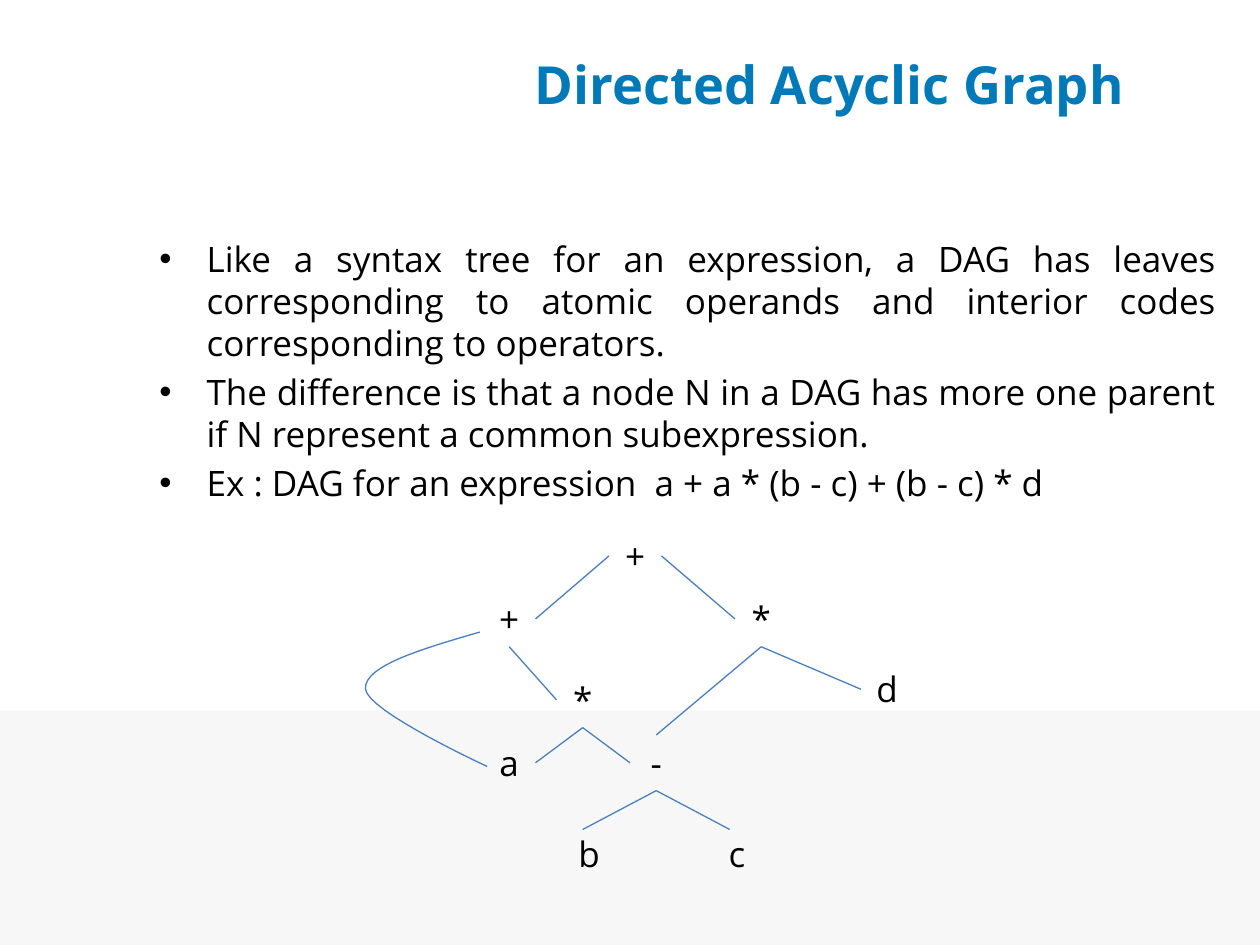
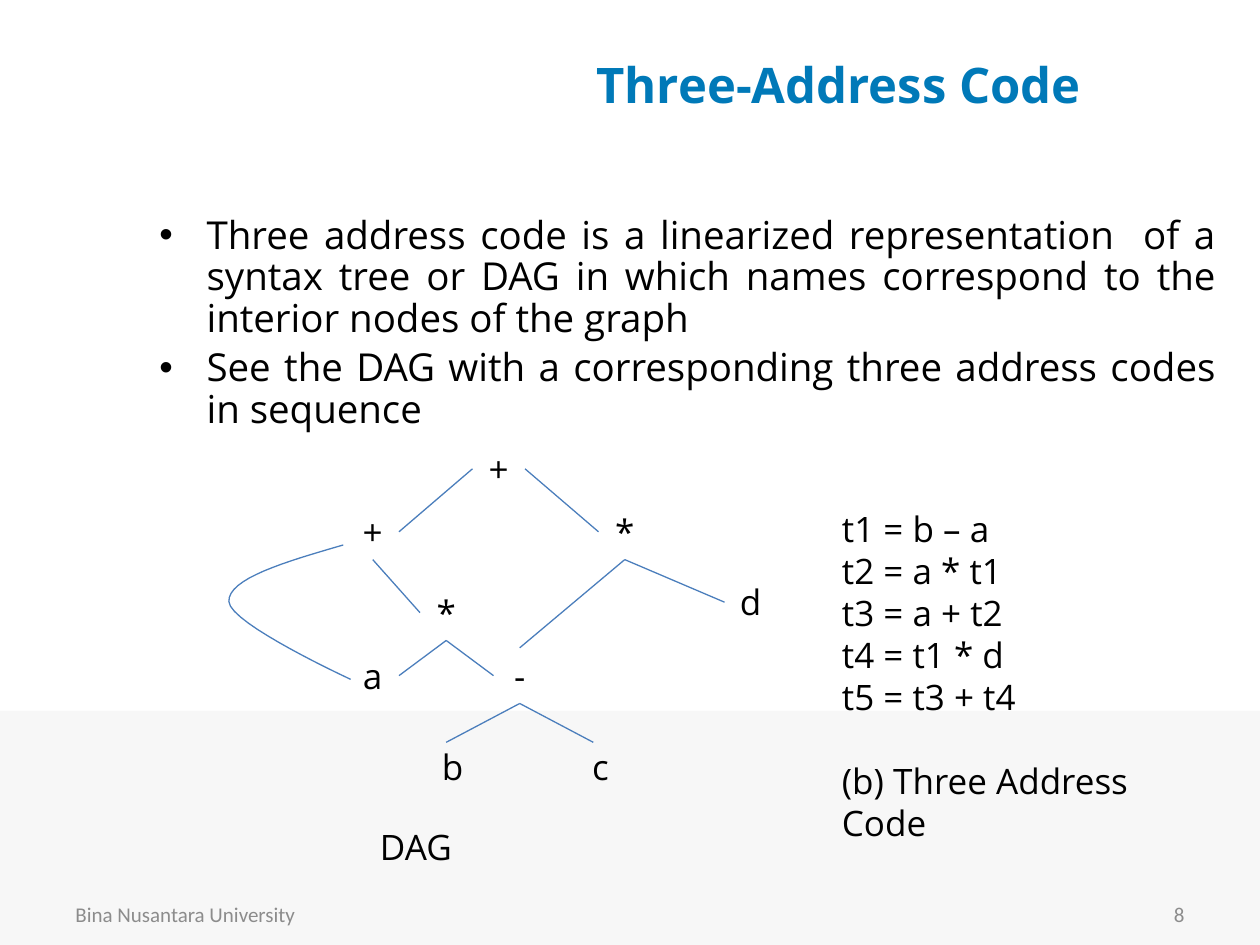
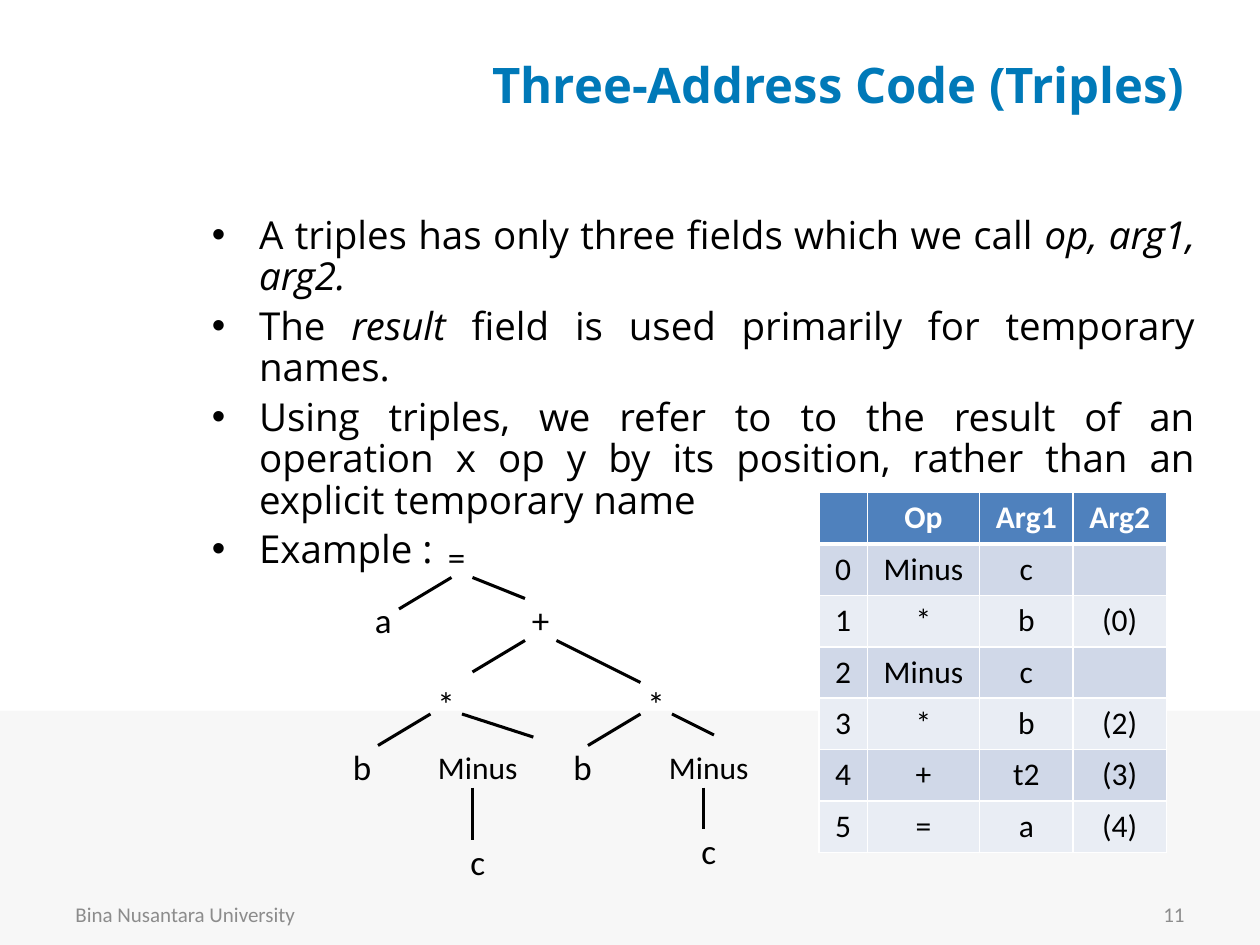
import dataclasses

import lxml.etree
import pptx
import pptx.dml.color
import pptx.enum.shapes
import pptx.enum.text
import pptx.oxml.ns
import pptx.util

ALIGN = pptx.enum.text.PP_ALIGN
ANCHOR = pptx.enum.text.MSO_ANCHOR
SHAPE = pptx.enum.shapes.MSO_SHAPE
TOP, LEFT, BOTTOM, RIGHT = range(4)
EMU_PER_PX = 7620  # 120 px to the inch


@dataclasses.dataclass(frozen=True)
class Theme:
    font: str = "Open Sans"
    plain_font: str = "Calibri"
    title: str = "0079B8"
    text: str = "000000"
    footer: str = "8C8C8C"
    band: str = "F7F7F7"
    edge: str = "4B7EBC"
    header: str = "4F81BD"
    stripes: tuple = ("D0D8E8", "E9EDF4")
    white: str = "FFFFFF"
    large_title_size: int = 30
    title_size: int = 28
    body_size: int = 22
    node_size: int = 20
    table_size: int = 18
    footer_size: int = 12
    edge_width: float = 0.75
    branch_width: float = 1.75


THEME = Theme()

DAG_NODE_SIZE = (50, 53)
DAG_NODES = {
    "root": ("+", 233, 0),
    "sum": ("+", 113, 60),
    "right product": ("*", 353, 60),
    "d": ("d", 473, 127),
    "inner product": ("*", 183, 137),
    "a": ("a", 113, 197),
    "difference": ("-", 253, 197),
    "b": ("b", 189, 284),
    "c": ("c", 330, 284),
}
DAG_EDGES = [
    ("root", LEFT, "sum", RIGHT),
    ("root", RIGHT, "right product", LEFT),
    ("sum", BOTTOM, "inner product", LEFT),
    ("right product", BOTTOM, "difference", TOP),
    ("right product", BOTTOM, "d", LEFT),
    ("inner product", BOTTOM, "a", RIGHT),
    ("inner product", BOTTOM, "difference", LEFT),
]
DAG_LEAF_ENDS = [(208, 287), (348, 287)]
DAG_ARC = [
    ((110, 99), (55, 115), (0, 131), (1, 153)),
    ((1, 153), (2, 174), (117, 227), (117, 227)),
]

TREE_NODES = [
    ("=", 90, 0), ("a", 20, 60), ("+", 170, 60), ("*", 80, 140), ("*", 280, 140),
    ("b", 0, 200), ("Minus", 70, 200), ("b", 210, 200), ("Minus", 290, 200),
    ("c", 110, 290), ("c", 330, 280),
]
TREE_BRANCHES = [
    (120, 60, 70, 90), (140, 60, 190, 80), (190, 120, 140, 150), (300, 160, 220, 120),
    (100, 190, 50, 220), (198, 212, 130, 190), (300, 190, 250, 220), (330, 190, 370, 210),
    (140, 260, 140, 310), (360, 260, 360, 300),
]

TRIPLES = [
    ("", "Op", "Arg1", "Arg2"),
    ("0", "Minus", "c", ""),
    ("1", "*", "b", "(0)"),
    ("2", "Minus", "c", ""),
    ("3", "*", "b", "(2)"),
    ("4", "+", "t2", "(3)"),
    ("5", "=", "a", "(4)"),
]


def px(*lengths):
    return [pptx.util.Emu(length * EMU_PER_PX) for length in lengths]


def rgb(value):
    return pptx.dml.color.RGBColor.from_string(value)


def set_attributes(target, values):
    for name, value in values.items():
        setattr(target, name, value)


def sub_element(parent, tag, **attributes):
    return lxml.etree.SubElement(parent, pptx.oxml.ns.qn(tag), attributes)


def add_run(paragraph, text, size, font=THEME.font, color=THEME.text, **styles):
    run = paragraph.add_run()
    run.text = text
    set_attributes(run.font, {"name": font, "size": pptx.util.Pt(size), **styles})
    run.font.color.rgb = rgb(color)


def add_text(slide, box, lines, align=ALIGN.LEFT, anchor=ANCHOR.TOP, **style):
    """Add a text box with one paragraph for each line."""
    shape = slide.shapes.add_textbox(*px(*box))
    frame = shape.text_frame
    set_attributes(frame, {"word_wrap": True, "vertical_anchor": anchor})
    for index, line in enumerate(lines):
        paragraph = frame.paragraphs[0] if index == 0 else frame.add_paragraph()
        paragraph.alignment = align
        add_run(paragraph, line, **style)
    return shape


def add_band(slide):
    """Place the grey lower band behind every slide of this layout."""
    band = slide.shapes.add_shape(SHAPE.RECTANGLE, *px(0, 677, 1200, 223))
    band.shadow.inherit = False
    band.fill.solid()
    band.fill.fore_color.rgb = rgb(THEME.band)
    band.line.fill.background()
    band.element.xpath("p:nvSpPr/p:cNvPr")[0].set("id", "20")
    slide.slide_layout.shapes.element.insert(2, band.element)


def set_title(slide, text, box=(420, 30, 757, 100), size=THEME.title_size):
    title = slide.shapes.title
    left, top, width, height = px(*box)
    set_attributes(title, {"left": left, "top": top, "width": width, "height": height})
    set_attributes(title.text_frame, {"word_wrap": True, "vertical_anchor": ANCHOR.MIDDLE,
                                      "auto_size": pptx.enum.text.MSO_AUTO_SIZE.NONE})
    paragraph = title.text_frame.paragraphs[0]
    paragraph.alignment = ALIGN.CENTER
    add_run(paragraph, text, size, color=THEME.title, bold=True)


def add_footer(slide, number):
    parts = [("Bina Nusantara University", 60, ALIGN.LEFT), (str(number), 860, ALIGN.RIGHT)]
    for text, left, align in parts:
        add_text(slide, (left, 847, 280, 48), [text], align, ANCHOR.MIDDLE,
                 size=THEME.footer_size, font=THEME.plain_font, color=THEME.footer)


def add_bullets(slide, box, items, size=THEME.body_size, line_spacing=0.9):
    """Add justified bullets; text between underscores is italic."""
    frame = slide.shapes.add_textbox(*px(*box)).text_frame
    frame.word_wrap = True
    for index, item in enumerate(items):
        paragraph = frame.paragraphs[0] if index == 0 else frame.add_paragraph()
        properties = paragraph._p.get_or_add_pPr()
        indent = px(45)[0]
        properties.set("marL", str(indent))
        properties.set("indent", str(-indent))
        sub_element(properties, "a:buFont", typeface="Arial")
        sub_element(properties, "a:buChar", char="•")
        set_attributes(paragraph, {"alignment": ALIGN.JUSTIFY, "line_spacing": line_spacing})
        if index:
            paragraph.space_before = pptx.util.Pt(size * 0.2)
        for part, text in enumerate(item.split("_")):
            if text:
                add_run(paragraph, text, size, italic=part % 2 == 1)


def add_line(slide, start, end, color, width):
    line = slide.shapes.add_connector(pptx.enum.shapes.MSO_CONNECTOR.STRAIGHT,
                                      *px(*start, *end))
    line.line.color.rgb = rgb(color)
    line.line.width = pptx.util.Pt(width)
    sub_element(line.element.spPr, "a:effectLst")
    return line


def curve_points(curves, steps=16):
    """Return points along a chain of cubic curves."""
    points = [curves[0][0]]
    for curve in curves:
        for step in range(1, steps + 1):
            t = step / steps
            weights = ((1 - t) ** 3, 3 * t * (1 - t) ** 2, 3 * t * t * (1 - t), t ** 3)
            points.append(tuple(sum(weight * point[axis] for weight, point in zip(weights, curve))
                                for axis in (0, 1)))
    return points


def add_dag(slide, left, top):
    nodes = {}
    for name, (label, x, y) in DAG_NODES.items():
        nodes[name] = add_text(slide, (left + x, top + y, *DAG_NODE_SIZE), [label],
                               ALIGN.CENTER, size=THEME.node_size)
    edge_style = (THEME.edge, THEME.edge_width)
    for parent, parent_side, child, child_side in DAG_EDGES:
        edge = add_line(slide, (left, top), (left, top), *edge_style)
        edge.begin_connect(nodes[parent], parent_side)
        edge.end_connect(nodes[child], child_side)
    for x, y in DAG_LEAF_ENDS:
        end = (left + x, top + y)
        edge = add_line(slide, end, end, *edge_style)
        edge.begin_connect(nodes["difference"], BOTTOM)

    points = [(round((left + x) * EMU_PER_PX), round((top + y) * EMU_PER_PX))
              for x, y in curve_points(DAG_ARC)]
    builder = slide.shapes.build_freeform(*points[0])
    builder.add_line_segments(points[1:], close=False)
    arc = builder.convert_to_shape()
    arc.shadow.inherit = False
    arc.fill.background()
    arc.line.color.rgb = rgb(THEME.edge)
    arc.line.width = pptx.util.Pt(THEME.edge_width)


def add_syntax_tree(slide, left, top):
    for label, x, y in TREE_NODES:
        is_word = len(label) > 1
        width = 150 if is_word else 70
        node = slide.shapes.add_shape(SHAPE.OVAL, *px(left + x, top + y, width, 80))
        node.shadow.inherit = False
        node.fill.background()
        node.line.fill.background()
        set_attributes(node.text_frame, {"word_wrap": False, "vertical_anchor": ANCHOR.MIDDLE})
        paragraph = node.text_frame.paragraphs[0]
        paragraph.alignment = ALIGN.CENTER
        add_run(paragraph, label, THEME.table_size if is_word else THEME.node_size,
                THEME.plain_font)
    for x1, y1, x2, y2 in TREE_BRANCHES:
        add_line(slide, (left + x1, top + y1), (left + x2, top + y2),
                 THEME.text, THEME.branch_width)


def set_borders(cell, widths):
    properties = cell._tc.get_or_add_tcPr()
    for side, width in widths.items():
        line = sub_element(properties, "a:ln" + side, w=str(pptx.util.Pt(width)))
        sub_element(sub_element(line, "a:solidFill"), "a:srgbClr", val=THEME.white)


def add_triples_table(slide, left, top):
    widths, row_height = (46, 107, 89, 89), 49
    table = slide.shapes.add_table(
        len(TRIPLES), len(widths),
        *px(left, top, sum(widths), row_height * len(TRIPLES))).table
    table.horz_banding = False
    for column, width in zip(table.columns, px(*widths)):
        column.width = width
    for row, values in enumerate(TRIPLES):
        is_header = row == 0
        fill = THEME.header if is_header else THEME.stripes[(row - 1) % 2]
        for column, value in enumerate(values):
            cell = table.cell(row, column)
            set_borders(cell, {"L": 1, "R": 1, "T": 3 if row == 1 else 1,
                               "B": 3 if is_header else 1})
            cell.fill.solid()
            cell.fill.fore_color.rgb = rgb(fill)
            if value:
                paragraph = cell.text_frame.paragraphs[0]
                paragraph.alignment = ALIGN.CENTER
                add_run(paragraph, value, THEME.table_size, THEME.plain_font,
                        THEME.white if is_header else THEME.text, bold=is_header)


def build_dag_slide(slide):
    set_title(slide, "Directed Acyclic Graph", (400, 20, 780, 120), THEME.large_title_size)
    add_bullets(slide, (140, 220, 1030, 640), [
        "Like a syntax tree for an expression, a DAG has leaves corresponding to atomic "
        "operands and interior codes corresponding to operators.",
        "The difference is that a node N in a DAG has more one parent if N represent "
        "a common subexpression.",
        "Ex : DAG for an expression  a + a * (b - c) + (b - c) * d",
    ], size=THEME.node_size, line_spacing=1.0)
    add_dag(slide, 347, 503)


def build_code_slide(slide):
    set_title(slide, "Three-Address Code")
    add_bullets(slide, (140, 200, 1030, 660), [
        "Three address code is a linearized representation  of a syntax tree or DAG in "
        "which names correspond to the interior nodes of the graph",
        "See the DAG with a corresponding three address codes in sequence",
    ])
    add_footer(slide, 8)
    add_dag(slide, 217, 420)
    code = add_text(slide, (790, 477, 380, 295), [
        "t1 = b – a", "t2 = a * t1", "t3 = a + t2", "t4 = t1 * d", "t5 = t3 + t4",
        "(b) Three Address Code",
    ], size=THEME.node_size)
    code.text_frame.paragraphs[-1].space_before = pptx.util.Pt(24)
    add_text(slide, (350, 780, 160, 53), ["DAG"], size=THEME.node_size)


def build_triples_slide(slide):
    set_title(slide, "Three-Address Code (Triples)")
    add_bullets(slide, (190, 200, 960, 660), [
        "A triples has only three fields which we call _op, arg1, arg2._",
        "The _result _field is used primarily for temporary names.",
        "Using triples, we refer to to the result of an operation x op y by its position, "
        "rather than an explicit temporary name",
        "Example :",
    ])
    add_footer(slide, 11)
    add_triples_table(slide, 780, 469)
    add_syntax_tree(slide, 310, 490)


def main():
    presentation = pptx.Presentation()
    presentation.slide_width, presentation.slide_height = px(1200, 900)
    title_only = presentation.slide_layouts[5]
    for index, build in enumerate((build_dag_slide, build_code_slide, build_triples_slide)):
        slide = presentation.slides.add_slide(title_only)
        if index == 0:
            add_band(slide)
        build(slide)
    presentation.save("out.pptx")


if __name__ == "__main__":
    main()
